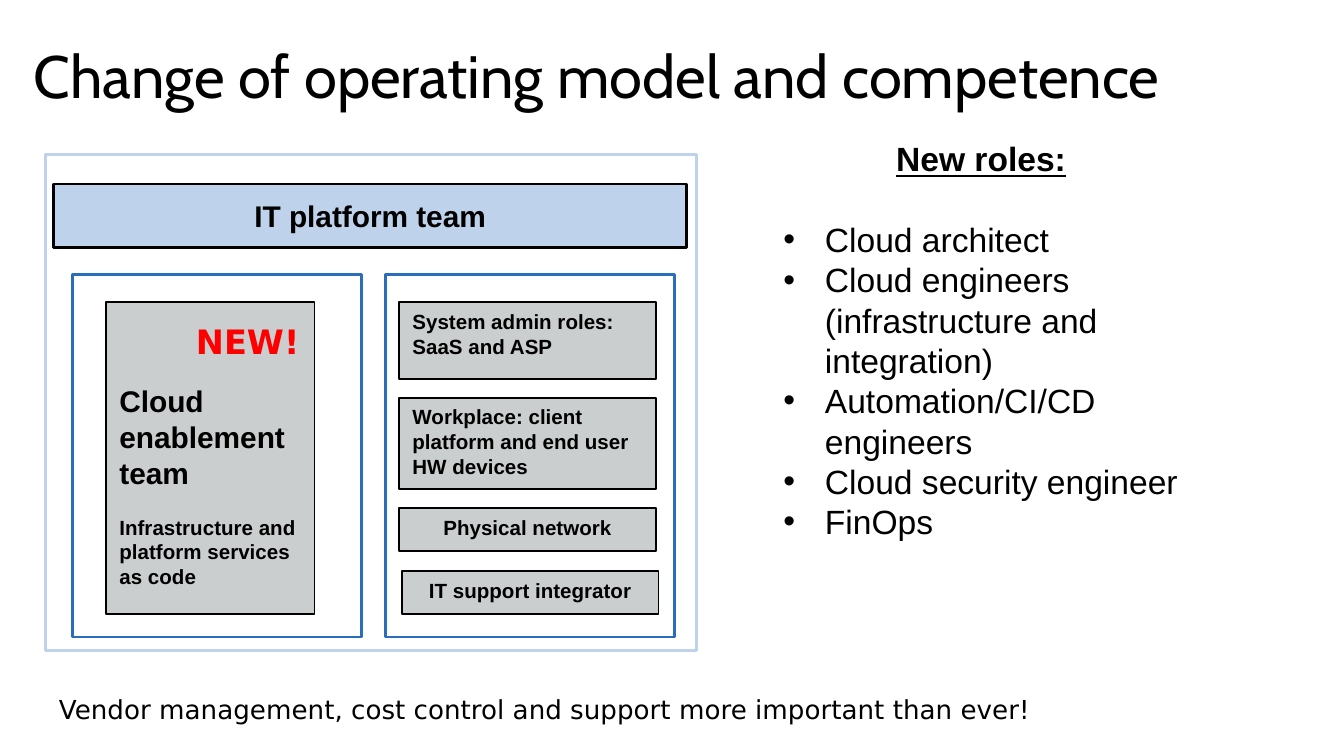
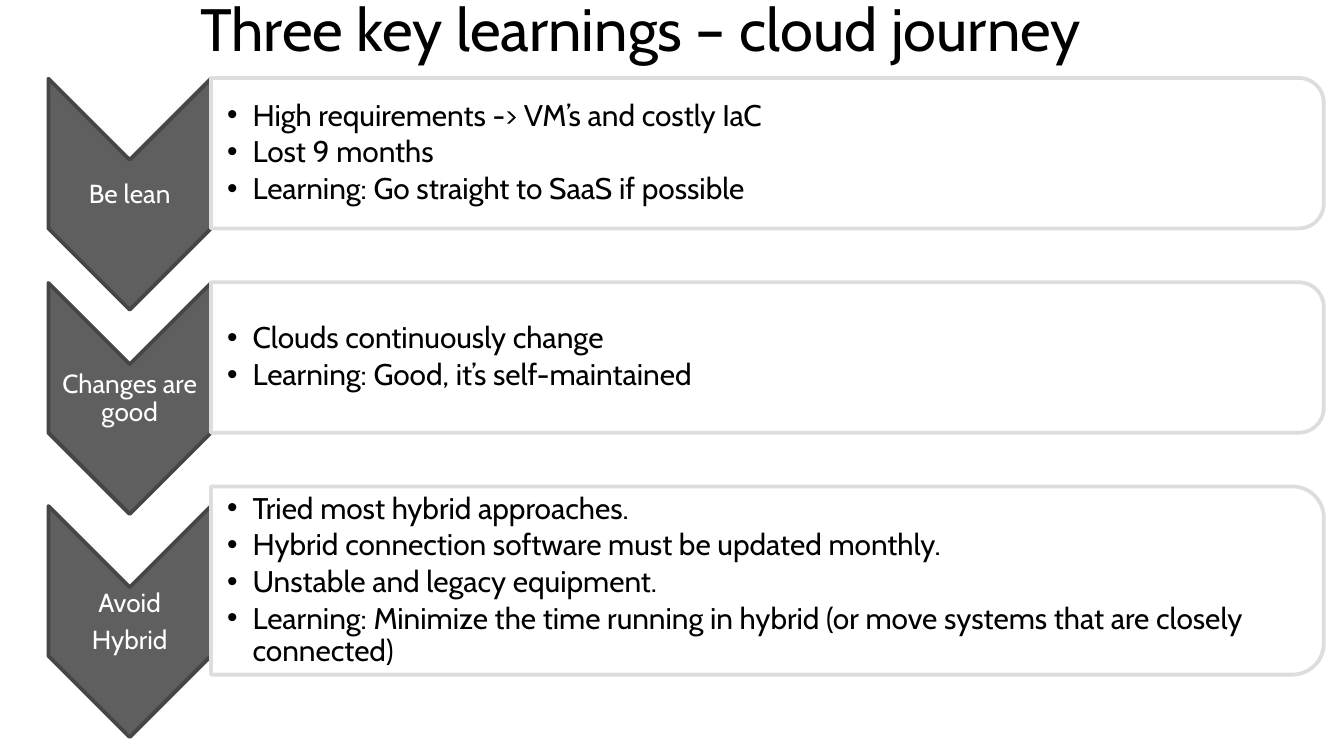
from lxml import etree
from pptx import Presentation
from pptx.dml.color import RGBColor
from pptx.enum.shapes import MSO_SHAPE
from pptx.enum.text import MSO_ANCHOR, PP_ALIGN
from pptx.oxml.ns import qn
from pptx.util import Inches, Pt

RECT = MSO_SHAPE.RECTANGLE
CHEVRON = MSO_SHAPE.CHEVRON
PANEL = MSO_SHAPE.ROUND_2_SAME_RECTANGLE
TOP, MIDDLE = MSO_ANCHOR.TOP, MSO_ANCHOR.MIDDLE
LEFT, CENTER = PP_ALIGN.LEFT, PP_ALIGN.CENTER

COLORS = {
    "black": "000000",
    "white": "FFFFFF",
    "red": "FF0000",
    "pale_blue": "BED2EB",
    "blue": "2A6DBA",
    "gray": "CACECE",
    "dark": "5F5F5F",
    "dark_edge": "464646",
    "light_edge": "DDDDDD",
}
COLUMNS = 100
WIDTH, HEIGHT = Inches(10), Inches(5.625)
CELL = WIDTH / COLUMNS
MARGINS = (1, 0.5, 1, 0.5)
TIGHT = (0.1, 0.1, 0.1, 0.1)


def grid(n):
    return round(n * CELL)


def color(name):
    return RGBColor.from_string(COLORS[name])


class Deck:
    def __init__(self):
        self.prs = Presentation()
        self.prs.slide_width, self.prs.slide_height = WIDTH, HEIGHT
        self.s = None

    def slide(self):
        self.s = self.prs.slides.add_slide(self.prs.slide_layouts[6])

    def frame(self, sp, margins=MARGINS, anchor=TOP):
        tf = sp.text_frame
        tf.word_wrap = True
        tf.vertical_anchor = anchor
        tf.margin_left, tf.margin_top, tf.margin_right, tf.margin_bottom = map(grid, margins)
        return tf

    def shape(self, box, fill=None, line="black", weight=1.0, kind=RECT):
        sp = self.s.shapes.add_shape(kind, *map(grid, box))
        sp.shadow.inherit = False
        if fill:
            sp.fill.solid()
            sp.fill.fore_color.rgb = color(fill)
        else:
            sp.fill.background()
        sp.line.color.rgb = color(line)
        sp.line.width = Pt(weight)
        return sp

    def turned(self, box, fill, line, kind):
        x, y, w, h = box
        swapped = (x + (w - h) / 2, y + (h - w) / 2, h, w)
        sp = self.shape(swapped, fill, line, 2, kind)
        sp.rotation = 90
        return sp

    def fade(self, sp, percent):
        clr = sp.fill._xPr.find(qn("a:solidFill"))[0]
        etree.SubElement(clr, qn("a:alpha")).set("val", str(percent * 1000))

    def text(self, box, margins=MARGINS, anchor=TOP):
        return self.frame(self.s.shapes.add_textbox(*map(grid, box)), margins, anchor)

    def para(self, tf, text, size, font="Arial", ink="black", bold=False, underline=False,
             align=LEFT, before=0, after=0, spacing=None, indent=0, level=0):
        p = tf.paragraphs[0]
        if p.runs:
            p = tf.add_paragraph()
        p.alignment = align
        p.level = level
        p.space_before, p.space_after = Pt(before), Pt(after)
        if spacing:
            p.line_spacing = spacing
        if indent:
            pPr = p._p.get_or_add_pPr()
            pPr.set("marL", str(grid(indent)))
            pPr.set("indent", str(-grid(indent)))
            etree.SubElement(pPr, qn("a:buFont")).set("typeface", "Arial")
            etree.SubElement(pPr, qn("a:buChar")).set("char", "•")
        r = p.add_run()
        r.text = text
        r.font.name, r.font.size = font, Pt(size)
        r.font.bold, r.font.underline = bold, underline
        r.font.color.rgb = color(ink)

    def title(self, text, box):
        self.para(self.text(box), text, 32, "Cabin")

    def card(self, box, lines, align=LEFT):
        tf = self.frame(self.shape(box, "gray"))
        for line in lines:
            self.para(tf, line, 11, bold=True, align=align)

    def learning(self, top, label, points, panel_height, chevron_drop):
        y = top + chevron_drop
        self.turned((3.6, y, 12.1, 17.2), "dark", "dark_edge", CHEVRON)
        tf = self.text((3.6, y + 6.05, 12.1, 5.2), TIGHT, MIDDLE)
        for line in label:
            self.para(tf, line, 14, "Cabin", "white", align=CENTER, spacing=0.9, after=4.9)
        panel = self.turned((15.7, top, 82.8, panel_height), "white", "light_edge", PANEL)
        self.fade(panel, 90)
        tf = self.text((15.7, top + 0.6, 82.3, panel_height - 1.2), (1.2, 0.1, 0.1, 0.1), MIDDLE)
        for point in points:
            self.para(tf, point, 16, "Cabin", spacing=0.9, after=2.4, indent=1.9, level=1)


def operating_model(d):
    d.slide()
    d.title("Change of operating model and competence", (1.5, 2.4, 98.4, 6.4))
    d.shape((3.4, 11.5, 48.4, 36.9), line="pale_blue", weight=1.5)
    for x in (5.4, 28.7):
        d.shape((x, 20.4, 21.5, 27), line="blue", weight=1.5)

    banner = d.shape((4, 13.7, 47.1, 4.7), "pale_blue", weight=1.5)
    tf = d.frame(banner, (0, 0, 0, 0), MIDDLE)
    d.para(tf, "IT platform team", 16, bold=True, align=CENTER)

    tf = d.frame(d.shape((7.9, 22.5, 15.5, 23.2), "gray"), (1, 6, 1, 0.5))
    d.para(tf, "Cloud enablement team", 16, bold=True)
    d.para(tf, "Infrastructure and platform services as code", 11, bold=True, before=13)
    tf = d.text((13.6, 23.4, 10.4, 4))
    d.para(tf, "NEW!", 18, "DejaVu Sans", "red", bold=True)

    for x, y, h, lines, align in (
        (29.7, 22.5, 5.7, ["System admin roles:", "SaaS and ASP"], LEFT),
        (29.7, 29.6, 6.8, ["Workplace: client platform and end user HW devices"], LEFT),
        (29.7, 37.8, 3.2, ["Physical network"], CENTER),
        (29.9, 42.5, 3.2, ["IT support integrator"], CENTER),
    ):
        d.card((x, y, 19.1, h), lines, align)

    tf = d.text((57.3, 9.8, 31.4, 31.3))
    d.para(tf, "New roles:", 18, bold=True, underline=True, align=CENTER)
    roles = ["Cloud architect", "Cloud engineers (infrastructure and integration)",
             "Automation/CI/CD engineers", "Cloud security engineer", "FinOps"]
    for i, role in enumerate(roles):
        d.para(tf, role, 18, before=0 if i else 21.6, indent=3.1)

    tf = d.text((3.4, 51.1, 79.3, 3.4))
    d.para(tf, "Vendor management, cost control and support more important than ever!",
           14, "DejaVu Sans")


def key_learnings(d):
    d.slide()
    d.learning(5.8, ["Be lean"], [
        "High requirements -> VM’s and costly IaC",
        "Lost 9 months",
        "Learning: Go straight to SaaS if possible",
    ], 11.2, 0.05)
    d.learning(21, ["Changes are good"], [
        "Clouds continuously change",
        "Learning: Good, it’s self-maintained",
    ], 11.2, 0.05)
    d.learning(36.2, ["Avoid", "Hybrid"], [
        "Tried most hybrid approaches.",
        "Hybrid connection software must be updated monthly.",
        "Unstable and legacy equipment.",
        "Learning: Minimize the time running in hybrid "
        "(or move systems that are closely connected)",
    ], 14, 1.45)
    d.title("Three key learnings – cloud journey", (13.9, -1.1, 76.8, 6.4))


def main():
    d = Deck()
    operating_model(d)
    key_learnings(d)
    d.prs.save("out.pptx")


if __name__ == "__main__":
    main()
